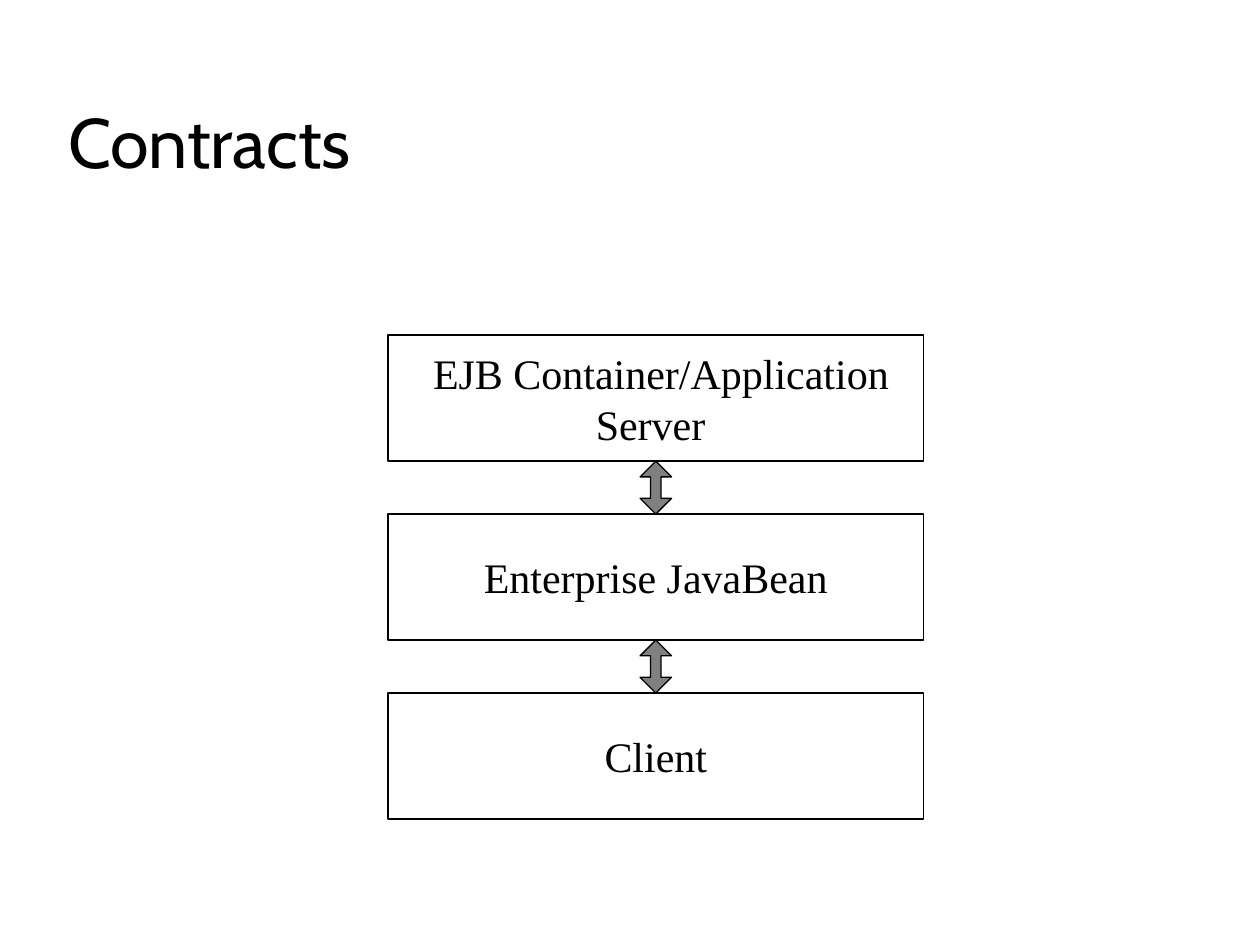
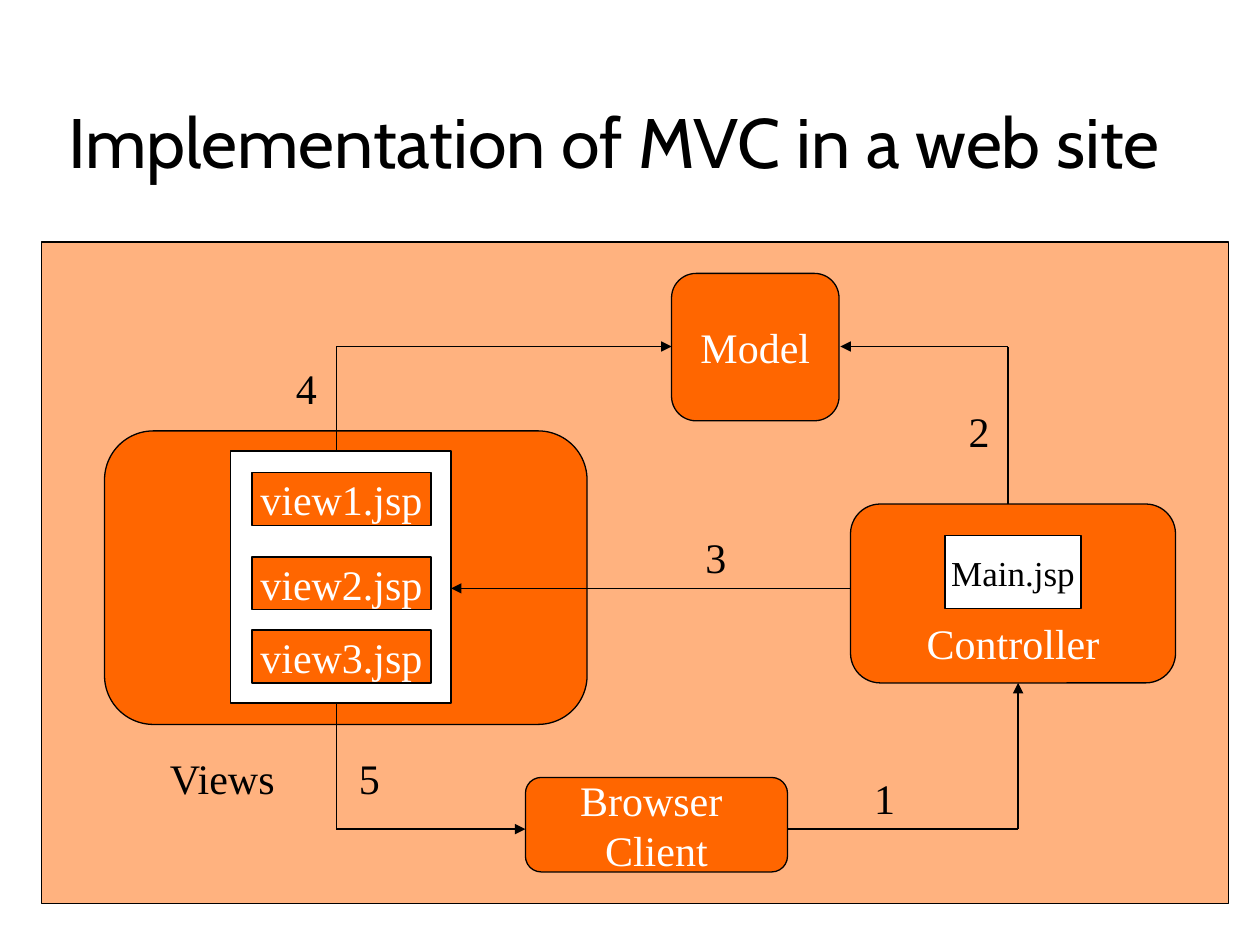
"""Build two slides on EJB contracts and on MVC in a web site."""
from itertools import pairwise

from pptx import Presentation
from pptx.dml.color import RGBColor
from pptx.enum.shapes import MSO_CONNECTOR, MSO_SHAPE
from pptx.enum.text import MSO_ANCHOR, MSO_AUTO_SIZE, PP_ALIGN
from pptx.oxml.ns import qn
from pptx.util import Inches, Pt
from lxml.etree import SubElement

BLACK = RGBColor(0, 0, 0)
WHITE = RGBColor(255, 255, 255)
GRAY = RGBColor(128, 128, 128)
ORANGE = RGBColor(255, 102, 0)
HEAD_FONT = "Cabin"
BODY_FONT = "Times New Roman"
RECT = MSO_SHAPE.RECTANGLE
ROUND = MSO_SHAPE.FLOWCHART_ALTERNATE_PROCESS


def write(frame, text, color, size=24, font=BODY_FONT, align=PP_ALIGN.LEFT):
    """Fill a text frame with text in one style."""
    frame.text = text
    for para in frame.paragraphs:
        para.alignment = align
        for run in para.runs:
            run.font.name = font
            run.font.size = Pt(size)
            run.font.color.rgb = color


def add_slide(deck, text, width):
    """Add a slide with a title of the given width."""
    slide = deck.slides.add_slide(deck.slide_layouts[5])
    title = slide.shapes.title
    title.left, title.top = Inches(0.44), Inches(0.25)
    title.width, title.height = Inches(width), Inches(1.25)
    frame = title.text_frame
    write(frame, text, BLACK, 40, HEAD_FONT)
    frame.auto_size = MSO_AUTO_SIZE.NONE
    frame.vertical_anchor = MSO_ANCHOR.BOTTOM
    return slide


def add_box(slide, kind, area, fill, text="", color=WHITE, size=24):
    """Add an outlined shape with centred text."""
    shape = slide.shapes.add_shape(kind, *map(Inches, area))
    shape.shadow.inherit = False
    shape.fill.solid()
    shape.fill.fore_color.rgb = fill
    shape.line.color.rgb = BLACK
    shape.line.width = Pt(0.75)
    if text:
        frame = shape.text_frame
        write(frame, text, color, size, align=PP_ALIGN.CENTER)
        frame.word_wrap = False
        frame.vertical_anchor = MSO_ANCHOR.MIDDLE
    return shape


def add_label(slide, text, left, top, width=0.36):
    """Add a short black label."""
    area = map(Inches, (left, top, width, 0.5))
    frame = slide.shapes.add_textbox(*area).text_frame
    write(frame, text, BLACK)
    frame.word_wrap = False
    frame.auto_size = MSO_AUTO_SIZE.SHAPE_TO_FIT_TEXT


def add_route(slide, *points):
    """Join points with lines and put an arrowhead at the last."""
    for start, end in pairwise(points):
        line = slide.shapes.add_connector(
            MSO_CONNECTOR.STRAIGHT, *map(Inches, start + end))
        line.line.color.rgb = BLACK
        line.line.width = Pt(0.75)
        props = line._element.spPr
        SubElement(props, qn("a:effectLst"))
    SubElement(props.find(qn("a:ln")), qn("a:tailEnd"), type="triangle")


def fade(shape, percent):
    """Set the opacity of a solid fill."""
    color = shape._element.spPr.find(qn("a:solidFill"))[0]
    SubElement(color, qn("a:alpha"), val=str(percent * 1000))


def draw_stack(deck):
    """Draw the three layers and the arrows between them."""
    slide = add_slide(deck, "Contracts", 8.5)
    layers = (" EJB Container/Application\nServer ",
              "Enterprise JavaBean", "Client")
    high, gap = 1, 0.42
    for i, text in enumerate(layers):
        top = 2.66 + i * (high + gap)
        add_box(slide, RECT, (3.08, top, 4.25, high), WHITE, text, BLACK)
        if i:
            arrow = add_box(slide, MSO_SHAPE.UP_DOWN_ARROW,
                            (5.08, top - gap, 0.25, gap), GRAY)
            arrow.adjustments[0] = 0.5
            arrow.adjustments[1] = 0.33


def draw_site(deck):
    """Draw the parts of the web site and the numbered steps."""
    slide = add_slide(deck, "Implementation of MVC in a web site", 9.39)
    fade(add_box(slide, RECT, (0.33, 1.92, 9.42, 5.25), ORANGE), 50)
    add_box(slide, ROUND, (0.83, 3.42, 3.83, 2.33), ORANGE)
    control = add_box(slide, ROUND, (6.75, 4, 2.58, 1.42), ORANGE,
                      "Controller")
    control.text_frame.vertical_anchor = MSO_ANCHOR.BOTTOM
    add_box(slide, ROUND, (5.33, 2.17, 1.33, 1.17), ORANGE, "Model")
    add_box(slide, ROUND, (4.17, 6.17, 2.08, 0.75), ORANGE,
            "Browser \nClient")
    add_box(slide, RECT, (1.83, 3.58, 1.75, 2), WHITE)
    for i, top in enumerate((3.75, 4.42, 5), 1):
        add_box(slide, RECT, (2, top, 1.42, 0.42), ORANGE, f"view{i}.jsp")
    add_box(slide, RECT, (7.5, 4.25, 1.08, 0.58), WHITE, "Main.jsp",
            BLACK, 20)

    add_route(slide, (6.25, 6.58), (8.08, 6.58), (8.08, 5.42))
    add_route(slide, (8, 4), (8, 2.75), (6.67, 2.75))
    add_route(slide, (6.75, 4.67), (3.58, 4.67))
    add_route(slide, (2.67, 3.58), (2.67, 2.75), (5.33, 2.75))
    add_route(slide, (2.67, 5.58), (2.67, 6.58), (4.17, 6.58))

    add_label(slide, "Views", 1.25, 5.92, 1.05)
    steps = ((6.84, 6.08), (7.59, 3.17), (5.5, 4.17), (2.25, 2.83),
             (2.75, 5.92))
    for i, (left, top) in enumerate(steps, 1):
        add_label(slide, str(i), left, top)


def main():
    """Build and save the deck."""
    deck = Presentation()
    deck.slide_width, deck.slide_height = Inches(10), Inches(7.5)
    draw_stack(deck)
    draw_site(deck)
    deck.save("out.pptx")


if __name__ == "__main__":
    main()
